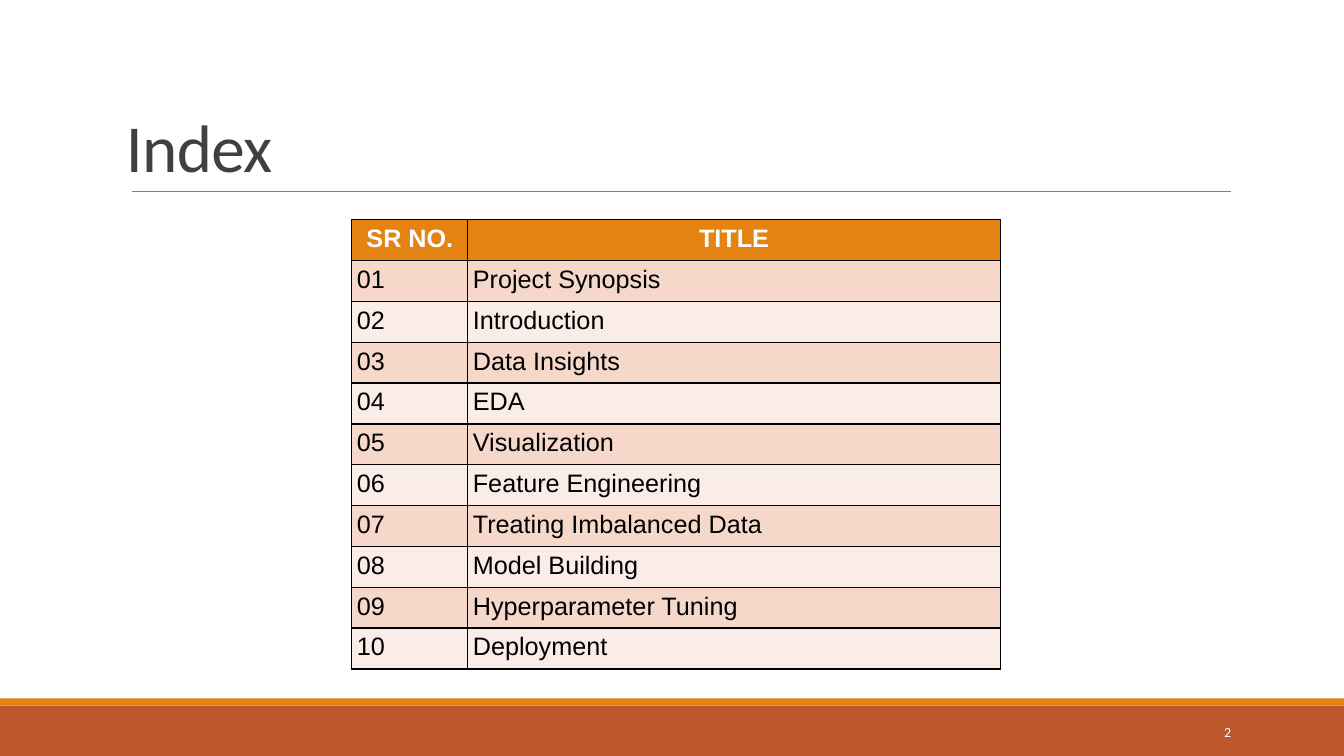
from pptx import Presentation
from pptx.dml.color import RGBColor
from pptx.enum.shapes import MSO_CONNECTOR, MSO_SHAPE
from pptx.enum.text import MSO_ANCHOR, PP_ALIGN
from pptx.oxml.ns import qn
from pptx.util import Inches, Pt
from lxml import etree

RECTANGLE = MSO_SHAPE.RECTANGLE
STRAIGHT = MSO_CONNECTOR.STRAIGHT
LEFT, CENTER, RIGHT = PP_ALIGN.LEFT, PP_ALIGN.CENTER, PP_ALIGN.RIGHT
TOP, MIDDLE, BOTTOM = MSO_ANCHOR.TOP, MSO_ANCHOR.MIDDLE, MSO_ANCHOR.BOTTOM

TITLE = "Index"
PAGE_NUMBER = "2"
HEADER = ("SR NO.", "TITLE")
TOPICS = [
    "Project Synopsis",
    "Introduction",
    "Data Insights",
    "EDA",
    "Visualization",
    "Feature Engineering",
    "Treating Imbalanced Data",
    "Model Building",
    "Hyperparameter Tuning",
    "Deployment",
]
COLORS = {
    "orange": "E48312",
    "rust": "BD582C",
    "rule": "808080",
    "title": "404040",
    "white": "FFFFFF",
    "black": "000000",
    "dark_band": "F5D8CA",
    "light_band": "FAECE6",
}
FOOTER_BANDS = [(7, 0.5, "rust"), (6.93, 0.07, "orange")]
TITLE_FORMAT = {"name": "Calibri", "size": Pt(48)}
NUMBER_FORMAT = {"name": "Calibri", "size": Pt(10)}
HEADER_FORMAT = {"name": "Arial", "size": Pt(18), "bold": True}
BODY_FORMAT = {"name": "Arial", "size": Pt(18), "bold": False}
MARGIN = 0.05
SLIDE_WIDTH, SLIDE_HEIGHT = 13.33, 7.5
TABLE_LEFT, TABLE_TOP, TABLE_HEIGHT = 3.49, 2.18, 4.46
COLUMN_WIDTHS = (1.15, 5.28)
BORDER_WIDTH = Pt(1)


def color(name):
    return RGBColor.from_string(COLORS[name])


def set_margins(target):
    for side in ("left", "top", "right", "bottom"):
        setattr(target, f"margin_{side}", Inches(MARGIN))


def write(frame, text, formats, color_name, alignment):
    paragraph = frame.paragraphs[0]
    paragraph.alignment = alignment
    run = paragraph.add_run()
    run.text = text
    for name, value in formats.items():
        setattr(run.font, name, value)
    run.font.color.rgb = color(color_name)
    return paragraph, run


def add_text(slide, box, text, formats, color_name, alignment, anchor, wrap):
    frame = slide.shapes.add_textbox(*map(Inches, box)).text_frame
    set_margins(frame)
    frame.word_wrap = wrap
    frame.vertical_anchor = anchor
    return write(frame, text, formats, color_name, alignment)


def add_borders(cell):
    properties = cell._tc.get_or_add_tcPr()
    for position, side in enumerate(("lnL", "lnR", "lnT", "lnB")):
        line = etree.Element(qn(f"a:{side}"), w=str(BORDER_WIDTH))
        fill = etree.SubElement(line, qn("a:solidFill"))
        etree.SubElement(fill, qn("a:srgbClr"), val=COLORS["black"])
        properties.insert(position, line)


def add_backdrop(slide):
    for top, height, fill in FOOTER_BANDS:
        band = slide.shapes.add_shape(
            RECTANGLE, 0, Inches(top), Inches(SLIDE_WIDTH), Inches(height))
        band.shadow.inherit = False
        band.fill.solid()
        band.fill.fore_color.rgb = color(fill)
        band.line.fill.background()
    rule = slide.shapes.add_connector(
        STRAIGHT, Inches(1.31), Inches(1.9), Inches(12.21), Inches(1.9))
    rule.line.color.rgb = color("rule")
    rule.line.width = Pt(0.5)
    etree.SubElement(rule._element.spPr, qn("a:effectLst"))


def add_index_table(slide):
    rows = [HEADER] + [(f"{number:02d}", topic)
                       for number, topic in enumerate(TOPICS, 1)]
    table = slide.shapes.add_table(
        len(rows), len(HEADER), Inches(TABLE_LEFT), Inches(TABLE_TOP),
        Inches(sum(COLUMN_WIDTHS)), Inches(TABLE_HEIGHT)).table
    for column, width in zip(table.columns, COLUMN_WIDTHS):
        column.width = Inches(width)
    for row_index, values in enumerate(rows):
        if row_index == 0:
            fill, style = "orange", (HEADER_FORMAT, "white", CENTER)
        else:
            fill = "dark_band" if row_index % 2 else "light_band"
            style = (BODY_FORMAT, "black", LEFT)
        for column_index, text in enumerate(values):
            cell = table.cell(row_index, column_index)
            set_margins(cell)
            cell.vertical_anchor = TOP
            cell.fill.solid()
            cell.fill.fore_color.rgb = color(fill)
            add_borders(cell)
            write(cell.text_frame, text, *style)


def main():
    presentation = Presentation()
    presentation.slide_width = Inches(SLIDE_WIDTH)
    presentation.slide_height = Inches(SLIDE_HEIGHT)
    slide = presentation.slides.add_slide(presentation.slide_layouts[6])
    add_backdrop(slide)
    paragraph, run = add_text(slide, (1.2, 0.31, 11, 1.59), TITLE,
                              TITLE_FORMAT, "title", LEFT, BOTTOM, True)
    paragraph.line_spacing = 0.85
    run.font._element.set("spc", "-50")
    add_text(slide, (12.08, 7.14, 0.18, 0.25), PAGE_NUMBER,
             NUMBER_FORMAT, "white", RIGHT, MIDDLE, False)
    add_index_table(slide)
    presentation.save("out.pptx")


if __name__ == "__main__":
    main()
